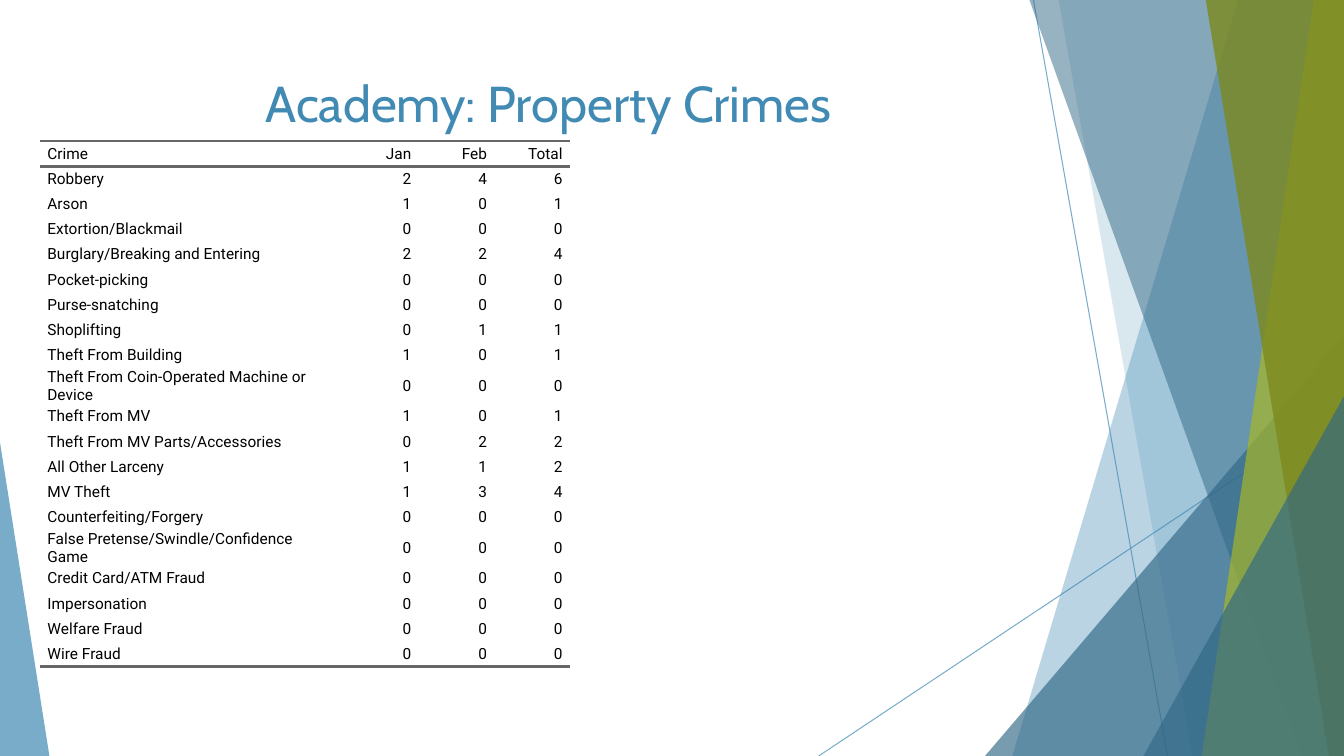
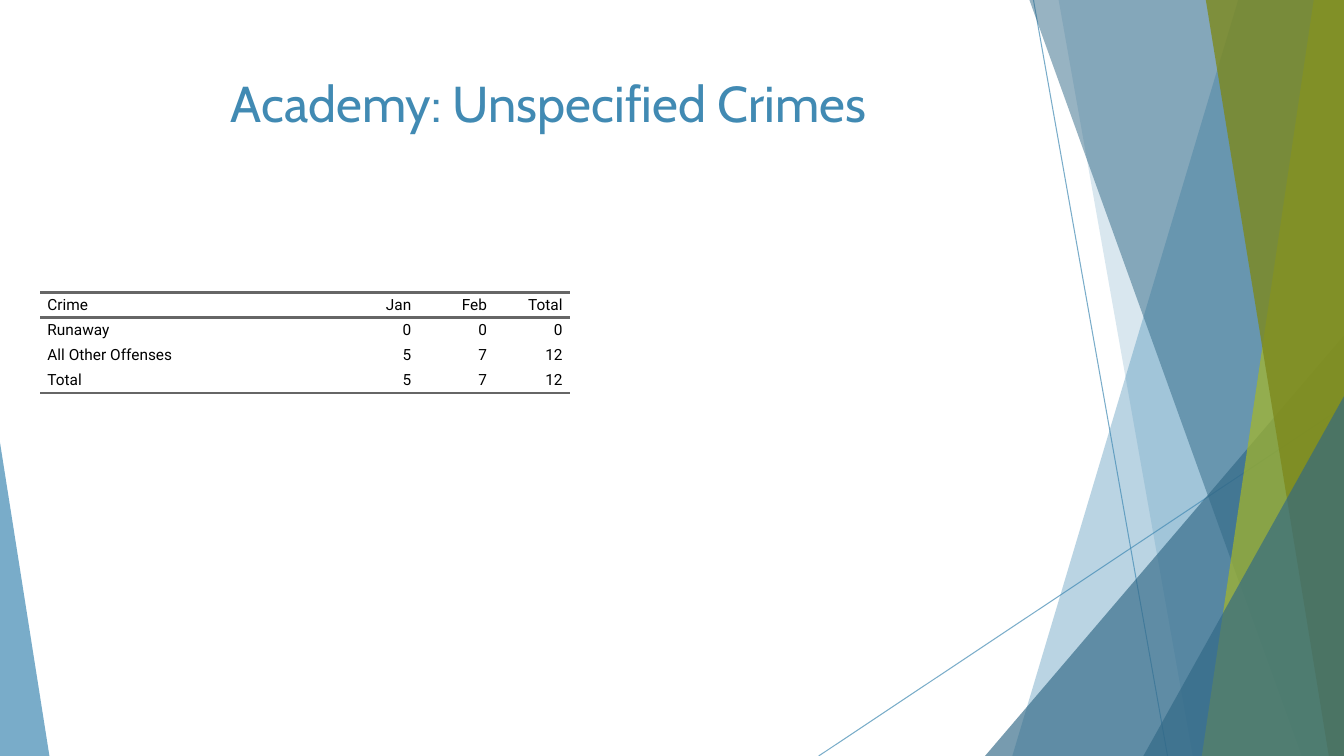
from dataclasses import dataclass
from typing import NamedTuple

from lxml import etree
from pptx import Presentation
from pptx.dml.color import RGBColor
from pptx.enum.shapes import MSO_CONNECTOR, MSO_SHAPE
from pptx.enum.text import MSO_ANCHOR, PP_ALIGN
from pptx.oxml.ns import qn
from pptx.util import Inches, Pt

STRAIGHT = MSO_CONNECTOR.STRAIGHT
TRIANGLE = MSO_SHAPE.ISOSCELES_TRIANGLE
TOP, MIDDLE = MSO_ANCHOR.TOP, MSO_ANCHOR.MIDDLE
LEFT, CENTER, RIGHT = PP_ALIGN.LEFT, PP_ALIGN.CENTER, PP_ALIGN.RIGHT

COLORS = {
    "blue": "418AB3",
    "navy": "316886",
    "lime": "A6B727",
    "olive": "7D891D",
    "rule": "666666",
    "text": "000000",
}
TITLE_FONT, TABLE_FONT = "Cabin", "Roboto"
SLIDE_WIDTH, SLIDE_HEIGHT = 13.33, 7.5
TITLE_ONLY_LAYOUT = 5

TABLE_LEFT = 0.4
COLUMN_WIDTHS = (3, 0.75, 0.75, 0.75)
ROW_HEIGHT = 0.25
CELL_INDENT = 0.07
HEADERS = ("Crime", "Jan", "Feb", "Total")
PLAIN_TABLE_STYLE = "{2D5ABB26-0587-4C30-8999-92F81FD0307C}"


@dataclass(frozen=True)
class Ray:
    """A thin line running down to the bottom edge."""
    x: float
    y: float
    bottom_x: float


@dataclass(frozen=True)
class Band:
    """A full-height area from a slanted left edge to the right slide edge."""
    top_x: float
    bottom_x: float
    color: str
    opacity: int


@dataclass(frozen=True)
class Corner:
    """A right triangle on the bottom edge; apex is 0 for left, 1 for right."""
    left: float
    top: float
    width: float
    apex: int
    color: str
    opacity: int


class Tally(NamedTuple):
    crime: str
    jan: int
    feb: int


@dataclass(frozen=True)
class CrimeReport:
    title: str
    table_top: float
    tallies: tuple[Tally, ...]


RAYS = (Ray(10.25, 0, 11.58), Ray(SLIDE_WIDTH, 4.03, 8.12))
FACETS = (
    Band(12.28, 10.04, "blue", 36),
    Band(10.5, 11.83, "blue", 20),
    Corner(9.77, 3.33, 3.56, 1, "navy", 66),
    Band(10.21, 12.91, "navy", 50),
    Band(13.03, 11.92, "lime", 70),
    Band(11.96, 13.18, "olive", 80),
    Corner(11.34, 3.93, 1.99, 1, "navy", 66),
    Corner(0, 4.39, 0.49, 0, "blue", 70),
)
REPORTS = (
    CrimeReport("Academy: Property Crimes", 1.4, (
        Tally("Robbery", 2, 4),
        Tally("Arson", 1, 0),
        Tally("Extortion/Blackmail", 0, 0),
        Tally("Burglary/Breaking and Entering", 2, 2),
        Tally("Pocket-picking", 0, 0),
        Tally("Purse-snatching", 0, 0),
        Tally("Shoplifting", 0, 1),
        Tally("Theft From Building", 1, 0),
        Tally("Theft From Coin-Operated Machine or Device", 0, 0),
        Tally("Theft From MV", 1, 0),
        Tally("Theft From MV Parts/Accessories", 0, 2),
        Tally("All Other Larceny", 1, 1),
        Tally("MV Theft", 1, 3),
        Tally("Counterfeiting/Forgery", 0, 0),
        Tally("False Pretense/Swindle/Confidence Game", 0, 0),
        Tally("Credit Card/ATM Fraud", 0, 0),
        Tally("Impersonation", 0, 0),
        Tally("Welfare Fraud", 0, 0),
        Tally("Wire Fraud", 0, 0),
    )),
    CrimeReport("Academy: Unspecified Crimes", 2.9, (
        Tally("Runaway", 0, 0),
        Tally("All Other Offenses", 5, 7),
        Tally("Total", 5, 7),
    )),
)


def rgb(name: str) -> RGBColor:
    return RGBColor.from_string(COLORS[name])


def set_opacity(shape, percent: int) -> None:
    for color in shape._element.spPr.iter(qn("a:srgbClr")):
        etree.SubElement(color, qn("a:alpha"), val=str(percent * 1000))


def style_font(paragraph, name: str, size: int, color: str) -> None:
    for run in paragraph.runs:
        run.font.name = name
        run.font.size = Pt(size)
        run.font.color.rgb = rgb(color)


def draw_ray(shapes, ray: Ray):
    line = shapes.add_connector(STRAIGHT, Inches(ray.x), Inches(ray.y),
                                Inches(ray.bottom_x), Inches(SLIDE_HEIGHT))
    line.line.color.rgb = rgb("blue")
    line.line.width = Pt(0.75)
    set_opacity(line, 70)
    etree.SubElement(line._element.spPr, qn("a:effectLst"))
    return line


def draw_facet(shapes, facet: Band | Corner):
    if isinstance(facet, Band):
        outline = shapes.build_freeform(Inches(facet.top_x), 0)
        outline.add_line_segments([
            (Inches(SLIDE_WIDTH), 0),
            (Inches(SLIDE_WIDTH), Inches(SLIDE_HEIGHT)),
            (Inches(facet.bottom_x), Inches(SLIDE_HEIGHT)),
        ])
        shape = outline.convert_to_shape()
    else:
        shape = shapes.add_shape(
            TRIANGLE, Inches(facet.left), Inches(facet.top),
            Inches(facet.width), Inches(SLIDE_HEIGHT - facet.top))
        shape.adjustments[0] = facet.apex
    shape.fill.solid()
    shape.fill.fore_color.rgb = rgb(facet.color)
    set_opacity(shape, facet.opacity)
    shape.line.fill.background()
    shape.shadow.inherit = False
    return shape


def decorate_layout(layout, slide) -> None:
    """Draw the facets with the slide's shape tools, then move them to the layout."""
    drawn = [draw_ray(slide.shapes, ray) for ray in RAYS]
    drawn += [draw_facet(slide.shapes, facet) for facet in FACETS]
    for shape in drawn:
        layout.shapes._spTree.append(shape._element)


def place_layout_title(layout) -> None:
    title = layout.placeholders[0]
    title.left, title.top = Inches(0.74), Inches(0.67)
    title.width, title.height = Inches(9.4), Inches(1.44)


def add_title(slide, text: str) -> None:
    frame = slide.shapes.title.text_frame
    frame.text = text
    frame.vertical_anchor = TOP
    frame.paragraphs[0].alignment = CENTER
    style_font(frame.paragraphs[0], TITLE_FONT, 36, "blue")


def add_border(cell, side: str) -> None:
    border = etree.SubElement(cell._tc.get_or_add_tcPr(), qn(f"a:ln{side}"),
                              w=str(Pt(2)))
    fill = etree.SubElement(border, qn("a:solidFill"))
    etree.SubElement(fill, qn("a:srgbClr"), val=COLORS["rule"])


def fill_cell(cell, text: str, alignment, borders: str) -> None:
    """Write one cell; borders holds the ruled sides, such as "TB"."""
    cell.margin_left = cell.margin_right = 0
    cell.margin_top = cell.margin_bottom = 0
    cell.vertical_anchor = MIDDLE
    for side in borders:
        add_border(cell, side)
    cell.fill.background()
    paragraph = cell.text_frame.paragraphs[0]
    paragraph.text = text
    paragraph.alignment = alignment
    paragraph.space_before = paragraph.space_after = Pt(5)
    properties = paragraph._p.get_or_add_pPr()
    for margin in ("marL", "marR"):
        properties.set(margin, str(Inches(CELL_INDENT)))
    properties.set("indent", "0")
    style_font(paragraph, TABLE_FONT, 11, "text")


def add_crime_table(slide, report: CrimeReport) -> None:
    rows = [HEADERS] + [(t.crime, str(t.jan), str(t.feb), str(t.jan + t.feb))
                        for t in report.tallies]
    table = slide.shapes.add_table(
        len(rows), len(HEADERS), Inches(TABLE_LEFT), Inches(report.table_top),
        Inches(sum(COLUMN_WIDTHS)), Inches(ROW_HEIGHT * len(rows))).table
    table.first_row = table.horz_banding = False
    table._tbl.tblPr.find(qn("a:tableStyleId")).text = PLAIN_TABLE_STYLE
    for column, width in zip(table.columns, COLUMN_WIDTHS):
        column.width = Inches(width)
    borders = {0: "TB", len(rows) - 1: "B"}
    for r, values in enumerate(rows):
        table.rows[r].height = Inches(ROW_HEIGHT)
        for c, value in enumerate(values):
            fill_cell(table.cell(r, c), value, RIGHT if c else LEFT,
                      borders.get(r, ""))


def main() -> None:
    deck = Presentation()
    deck.slide_width, deck.slide_height = Inches(SLIDE_WIDTH), Inches(SLIDE_HEIGHT)
    layout = deck.slide_layouts[TITLE_ONLY_LAYOUT]
    place_layout_title(layout)
    slides = [deck.slides.add_slide(layout) for _ in REPORTS]
    decorate_layout(layout, slides[0])
    for slide, report in zip(slides, REPORTS):
        add_title(slide, report.title)
        add_crime_table(slide, report)
    deck.save("out.pptx")


if __name__ == "__main__":
    main()
